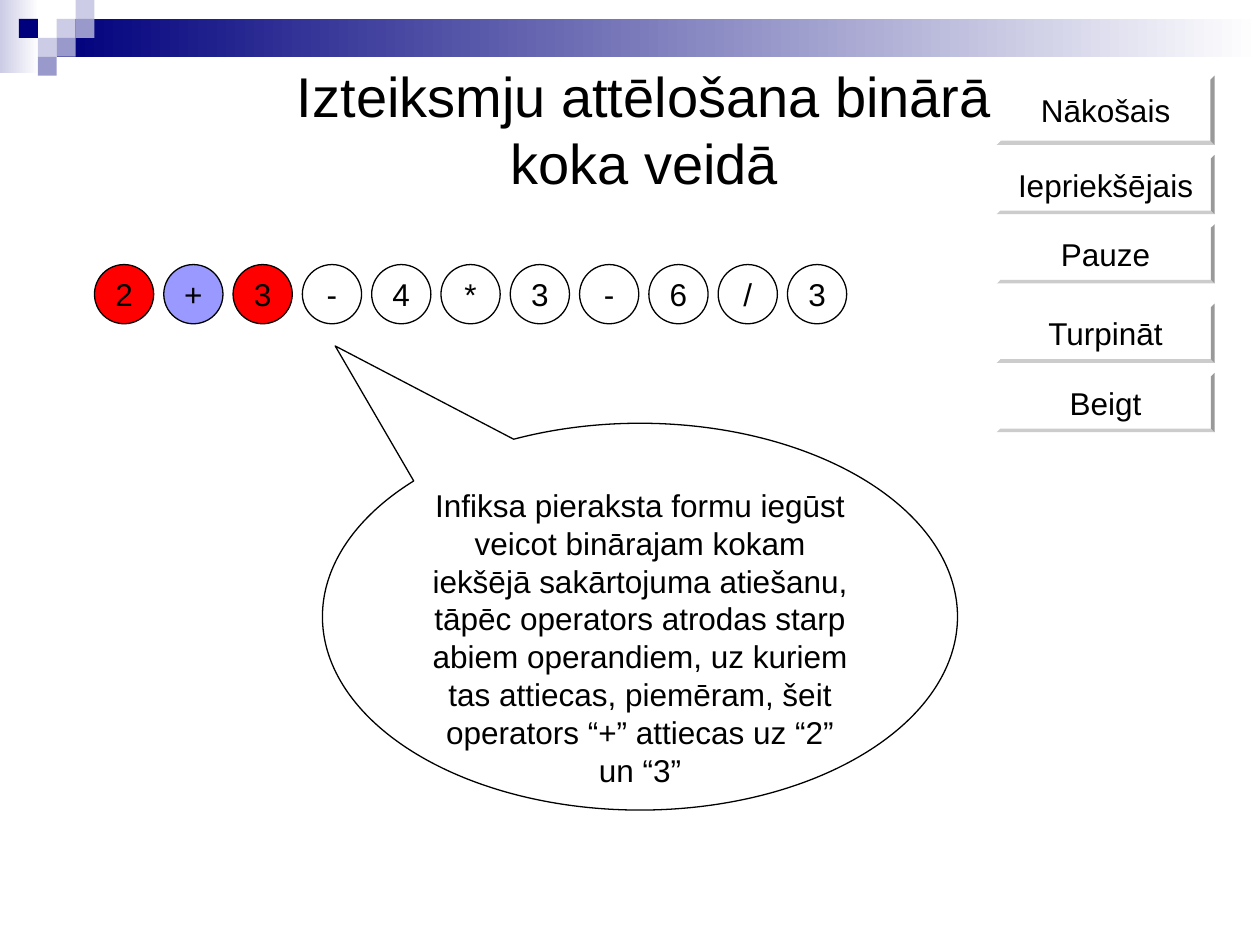
from pptx import Presentation
from pptx import util as u
from pptx.dml import color
from pptx.enum import shapes, text

BLACK, WHITE = "000000", "FFFFFF"
NAVY, LILAC, PALE = "00007D", "9999CC", "CCCCE6"
RED, BLUE = "FF0000", "9999FF"
Shape = shapes.MSO_SHAPE
Anchor = text.MSO_ANCHOR


def rgb(value):
    return color.RGBColor.from_string(value)


class SlideBuilder:
    font = "Arial"
    body_size = 18
    title_size = 32
    line_width = 0.75

    def __init__(self, slide):
        self.slide = slide

    def label(self, shape, words, size, anchor, wrap):
        frame = shape.text_frame
        frame.word_wrap = wrap
        frame.auto_size = text.MSO_AUTO_SIZE.NONE
        frame.vertical_anchor = anchor
        frame.margin_left = frame.margin_right = u.Inches(0.1)
        frame.margin_top = frame.margin_bottom = u.Inches(0.05)
        paragraph = frame.paragraphs[0]
        paragraph.alignment = text.PP_ALIGN.CENTER
        paragraph.space_before = u.Pt(0)
        run = paragraph.add_run()
        run.text = words
        run.font.name = self.font
        run.font.size = u.Pt(size)
        run.font.color.rgb = rgb(BLACK)

    def title(self, words, left, top, width, height):
        shape = self.slide.shapes.title
        shape.left, shape.top = u.Inches(left), u.Inches(top)
        shape.width, shape.height = u.Inches(width), u.Inches(height)
        self.label(shape, words, self.title_size, Anchor.TOP, True)

    def shape(self, kind, left, top, width, height, fill=None, outlined=False):
        shape = self.slide.shapes.add_shape(
            kind, u.Inches(left), u.Inches(top), u.Inches(width), u.Inches(height))
        shape.shadow.inherit = False
        if fill:
            shape.fill.solid()
            shape.fill.fore_color.rgb = rgb(fill)
        if outlined:
            shape.line.color.rgb = rgb(BLACK)
            shape.line.width = u.Pt(self.line_width)
        else:
            shape.line.fill.background()
        return shape

    def fading_bar(self, left, top, width, height, left_color):
        bar = self.shape(Shape.RECTANGLE, left, top, width, height)
        bar.fill.gradient()
        bar.fill.gradient_angle = 180
        for stop, value in zip(bar.fill.gradient_stops, (WHITE, left_color)):
            stop.color.rgb = rgb(value)

    def square(self, column, row, fill):
        side = 0.15
        self.shape(Shape.RECTANGLE, column * side, row * side, side, side, fill)

    def button(self, words, top, height):
        button = self.shape(Shape.BEVEL, 7.91, top, 1.73, height, WHITE)
        button.adjustments[0] = 0.06
        self.label(button, words, self.body_size, Anchor.MIDDLE, False)

    def token(self, symbol, left, top, fill):
        circle = self.shape(Shape.OVAL, left, top, 0.47, 0.47, fill, True)
        self.label(circle, symbol, self.body_size, Anchor.MIDDLE, False)

    def callout(self, words, left, top, width, height, tip):
        callout = self.shape(
            Shape.OVAL_CALLOUT, left, top, width, height, WHITE, True)
        callout.adjustments[0], callout.adjustments[1] = tip
        self.label(callout, words, self.body_size, Anchor.TOP, True)


def main():
    presentation = Presentation()
    presentation.slide_width = u.Inches(10)
    presentation.slide_height = u.Inches(7.5)
    slide = presentation.slides.add_slide(presentation.slide_layouts[5])
    builder = SlideBuilder(slide)

    builder.fading_bar(0, 0, 0.31, 0.58, PALE)
    builder.fading_bar(0.45, 0.15, 9.55, 0.3, NAVY)
    squares = [(3, 1, PALE), (4, 0, PALE), (4, 1, LILAC), (2, 2, PALE),
               (1, 1, NAVY), (3, 2, LILAC), (2, 3, LILAC)]
    for column, row, fill in squares:
        builder.square(column, row, fill)

    builder.title("Izteiksmju attēlošana binārā koka veidā", 1.77, 0.44, 6.69, 1.17)

    buttons = [("Nākošais", 0.6, 0.55), ("Iepriekšējais", 1.23, 0.47),
               ("Pauze", 1.78, 0.47), ("Turpināt", 2.41, 0.47),
               ("Beigt", 2.96, 0.47)]
    for words, top, height in buttons:
        builder.button(words, top, height)

    highlights = {0: RED, 1: BLUE, 2: RED}
    for index, symbol in enumerate("2+3-4*3-6/3"):
        builder.token(symbol, 0.75 + index * 0.55, 2.1, highlights.get(index, WHITE))

    builder.callout(
        "Infiksa pieraksta formu iegūst veicot binārajam kokam iekšējā "
        "sakārtojuma atiešanu, tāpēc operators atrodas starp abiem operandiem, "
        "uz kuriem tas attiecas, piemēram, šeit operators “+” attiecas uz “2” "
        "un “3”",
        2.56, 3.36, 5.04, 3.07, (-0.48, -0.7))

    presentation.save("out.pptx")


if __name__ == "__main__":
    main()
